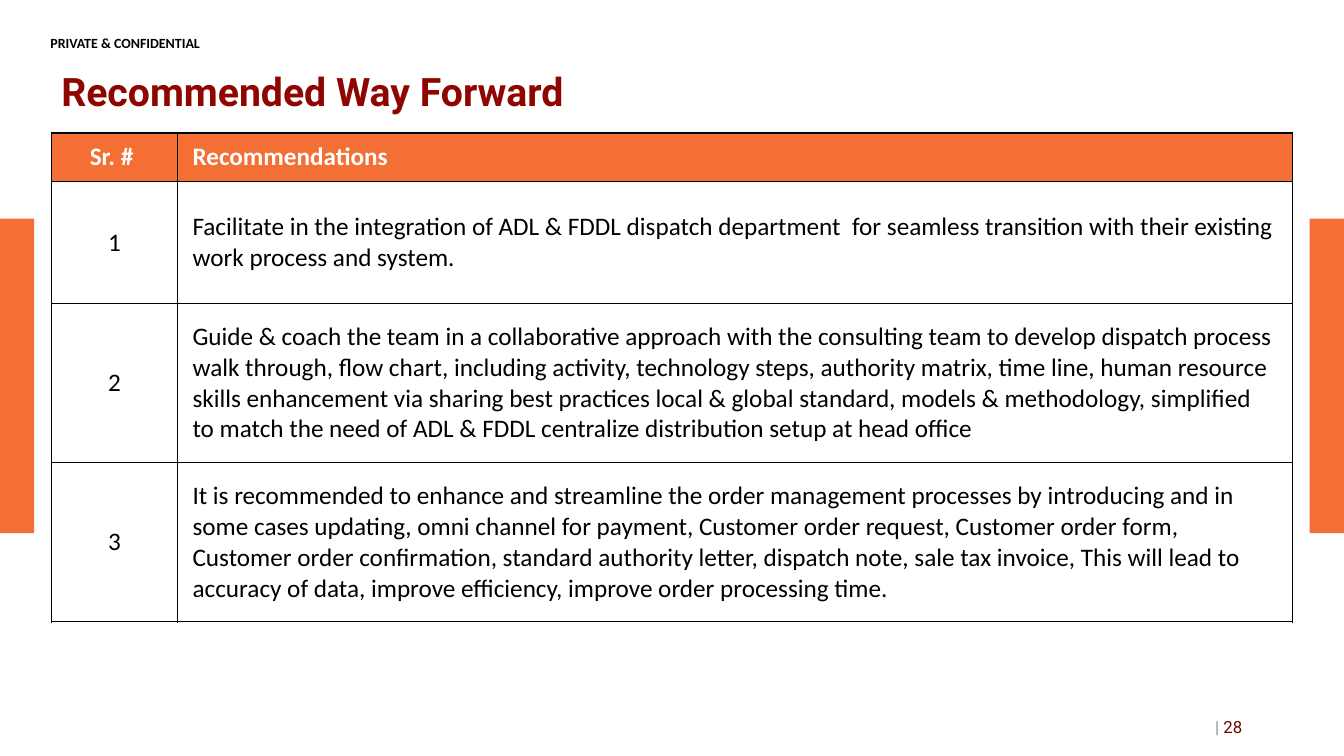
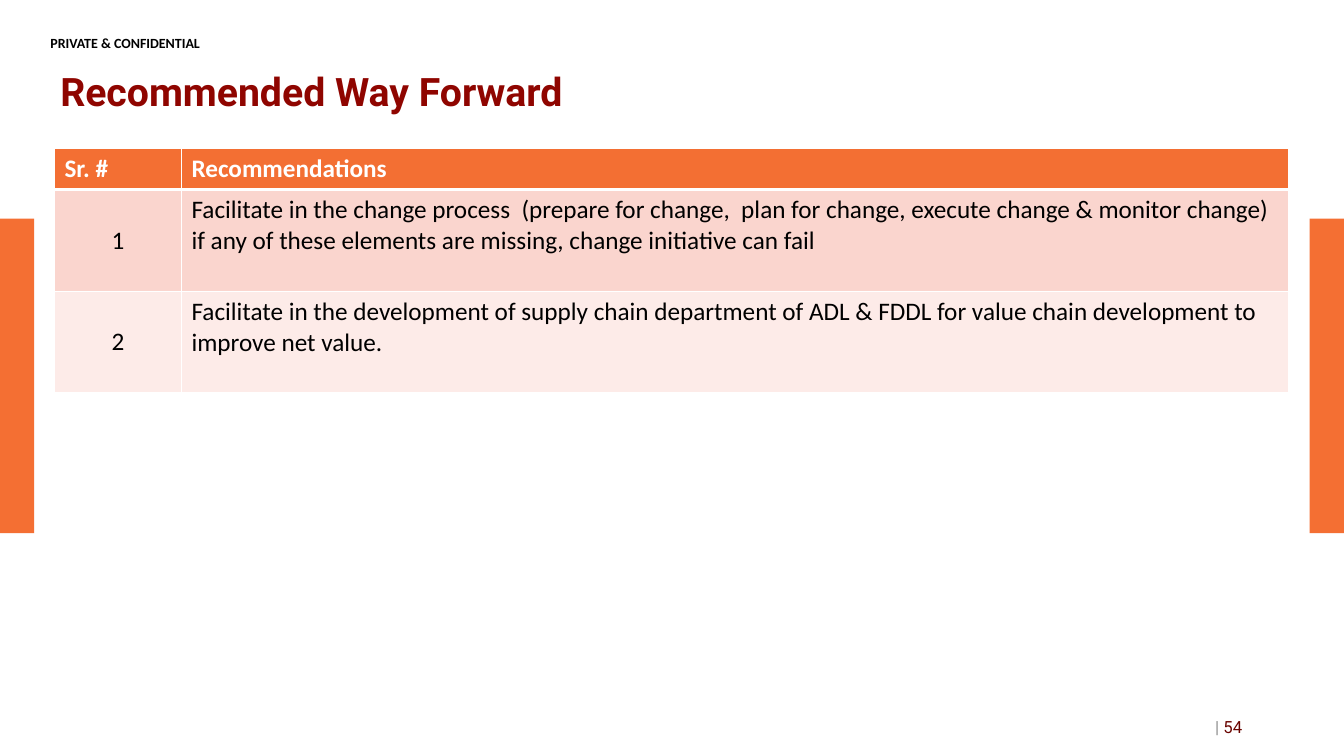
from dataclasses import dataclass

from lxml.etree import SubElement
from pptx import Presentation
from pptx.dml.color import RGBColor
from pptx.enum.shapes import MSO_SHAPE as Shape
from pptx.enum.text import MSO_ANCHOR as Anchor, PP_ALIGN as Align
from pptx.oxml.ns import qn
from pptx.util import Emu, Pt

# Shared look: lengths are px, 100 to the inch
PX = 9144
PAGE_WIDTH, PAGE_HEIGHT = 1333, 750
BAND_WIDTH, BAND_TOP, BAND_HEIGHT = 34, 217, 312
BODY_FONT, TITLE_FONT = "Calibri", "Roboto"
ORANGE, HEADER_ORANGE = "F46F33", "F36F33"
TITLE_RED, NUMBER_RED, GREY = "8F0500", "6A0500", "8C8C8C"
BLACK, WHITE = "000000", "FFFFFF"


@dataclass(frozen=True)
class TextStyle:
    size: int
    font: str
    color: str
    bold: bool = False


@dataclass(frozen=True)
class TableStyle:
    border: str
    header_line: int
    row_fills: tuple[str | None, ...]
    side_inset: int
    header_align: Align
    text_anchor: Anchor


@dataclass(frozen=True)
class Recommendations:
    number: int
    title_left: int
    left: int
    top: int
    columns: tuple[int, int]
    heights: tuple[int, ...]
    style: TableStyle
    number_heading: str
    items: tuple[str, ...]


CONFIDENTIAL = TextStyle(10, BODY_FONT, BLACK, True)
TITLE = TextStyle(28, TITLE_FONT, TITLE_RED, True)
DIVIDER = TextStyle(12, TITLE_FONT, GREY)
PAGE_NUMBER = TextStyle(12, TITLE_FONT, NUMBER_RED)
HEADING = TextStyle(18, BODY_FONT, WHITE, True)
BODY = TextStyle(18, BODY_FONT, BLACK)

RULED = TableStyle(BLACK, 1, (None,), 15, Align.CENTER, Anchor.MIDDLE)
BANDED = TableStyle(WHITE, 3, ("FAD5CE", "FDEBE8"), 10, Align.LEFT, Anchor.TOP)

PAGES = (
    Recommendations(28, 51, 51, 132, (125, 1106), (48, 121, 158, 158), RULED, "Sr. # ", (
        "Facilitate in the integration of ADL & FDDL dispatch department  for seamless "
        "transition with their existing work process and system.",
        "Guide & coach the team in a collaborative approach with the consulting team to "
        "develop dispatch process walk through, flow chart, including activity, technology "
        "steps, authority matrix, time line, human resource skills enhancement via sharing "
        "best practices local & global standard, models & methodology, simplified to match "
        "the need of ADL & FDDL centralize distribution setup at head office",
        "It is recommended to enhance and streamline the order management processes by "
        "introducing and in some cases updating, omni channel for payment, Customer order "
        "request, Customer order form, Customer order confirmation, standard authority "
        "letter, dispatch note, sale tax invoice, This will lead to accuracy of data, "
        "improve efficiency, improve order processing time.",
    )),
    Recommendations(54, 50, 54, 147, (126, 1098), (41, 101, 101), BANDED, "Sr. #", (
        "Facilitate in the change process  (prepare for change,  plan for change, execute "
        "change & monitor change) if any of these elements are missing, change initiative "
        "can fail",
        "Facilitate in the development of supply chain department of ADL & FDDL for value "
        "chain development to improve net value.",
    )),
)


def px(length: int) -> Emu:
    return Emu(length * PX)


def rgb(color: str) -> RGBColor:
    return RGBColor.from_string(color)


def format_span(span, style: TextStyle) -> None:
    span.font.size = Pt(style.size)
    span.font.name = style.font
    span.font.bold = style.bold
    span.font.color.rgb = rgb(style.color)


def add_text(page, left: int, top: int, width: int, height: int,
             spans: tuple[tuple[str, TextStyle], ...], anchor: Anchor = Anchor.MIDDLE):
    box = page.shapes.add_textbox(px(left), px(top), px(width), px(height))
    frame = box.text_frame
    frame.word_wrap = True
    frame.vertical_anchor = anchor
    for text, style in spans:
        span = frame.paragraphs[0].add_run()
        span.text = text
        format_span(span, style)
    return frame


# Bands, confidentiality mark, title and page number
def add_furniture(page, number: int, title_left: int) -> None:
    for left in (0, PAGE_WIDTH - BAND_WIDTH):
        band = page.shapes.add_shape(Shape.RECTANGLE, px(left), px(BAND_TOP),
                                     px(BAND_WIDTH), px(BAND_HEIGHT))
        band.shadow.inherit = False
        band.fill.solid()
        band.fill.fore_color.rgb = rgb(ORANGE)
        band.line.fill.background()

    mark = add_text(page, 50, 34, 253, 12, (("PRIVATE & CONFIDENTIAL", CONFIDENTIAL),), Anchor.TOP)
    mark.margin_left = mark.margin_right = mark.margin_top = mark.margin_bottom = 0

    title = add_text(page, title_left, 58, 1086, 71, (("Recommended Way Forward", TITLE),))
    title.paragraphs[0].line_spacing = 0.9

    footer = add_text(page, 942, 701, 300, 40, (("| ", DIVIDER), (str(number), PAGE_NUMBER)))
    footer.paragraphs[0].alignment = Align.RIGHT


# Table cells
def set_borders(cell, color: str, top: int, bottom: int) -> None:
    properties = cell._tc.get_or_add_tcPr()
    widths = {"a:lnL": 1, "a:lnR": 1, "a:lnT": top, "a:lnB": bottom}
    for position, (tag, width) in enumerate(widths.items()):
        line = SubElement(properties, qn(tag), w=str(Pt(width)))
        fill = SubElement(line, qn("a:solidFill"))
        SubElement(fill, qn("a:srgbClr"), val=color)
        properties.insert(position, line)


def fill_cell(cell, text: str, style: TextStyle, align: Align, anchor: Anchor,
              fill: str | None, inset: int) -> None:
    cell.text_frame.text = text
    para = cell.text_frame.paragraphs[0]
    para.alignment = align
    format_span(para.runs[0], style)
    cell.vertical_anchor = anchor
    cell.margin_left = cell.margin_right = px(inset)
    cell.margin_top = cell.margin_bottom = px(5)
    if fill is None:
        cell.fill.background()
    else:
        cell.fill.solid()
        cell.fill.fore_color.rgb = rgb(fill)


def add_recommendations(page, content: Recommendations) -> None:
    look = content.style
    table = page.shapes.add_table(len(content.heights), len(content.columns),
                                  px(content.left), px(content.top),
                                  px(sum(content.columns)), px(sum(content.heights))).table
    table.horz_banding = False
    for column, width in zip(table.columns, content.columns):
        column.width = px(width)
    for row, height in zip(table.rows, content.heights):
        row.height = px(height)

    headings = ((content.number_heading, look.header_align), ("Recommendations", Align.LEFT))
    for column, (text, align) in enumerate(headings):
        cell = table.cell(0, column)
        fill_cell(cell, text, HEADING, align, look.text_anchor, HEADER_ORANGE, look.side_inset)
        set_borders(cell, look.border, 1, look.header_line)

    for row, item in enumerate(content.items, start=1):
        fill = look.row_fills[(row - 1) % len(look.row_fills)]
        entries = ((str(row), Align.CENTER, Anchor.MIDDLE), (item, Align.LEFT, look.text_anchor))
        for column, (text, align, anchor) in enumerate(entries):
            cell = table.cell(row, column)
            fill_cell(cell, text, BODY, align, anchor, fill, look.side_inset)
            set_borders(cell, look.border, look.header_line if row == 1 else 1, 1)


def main() -> None:
    deck = Presentation()
    deck.slide_width, deck.slide_height = px(PAGE_WIDTH), px(PAGE_HEIGHT)
    for content in PAGES:
        page = deck.slides.add_slide(deck.slide_layouts[6])
        add_furniture(page, content.number, content.title_left)
        add_recommendations(page, content)
    deck.save("out.pptx")


if __name__ == "__main__":
    main()
